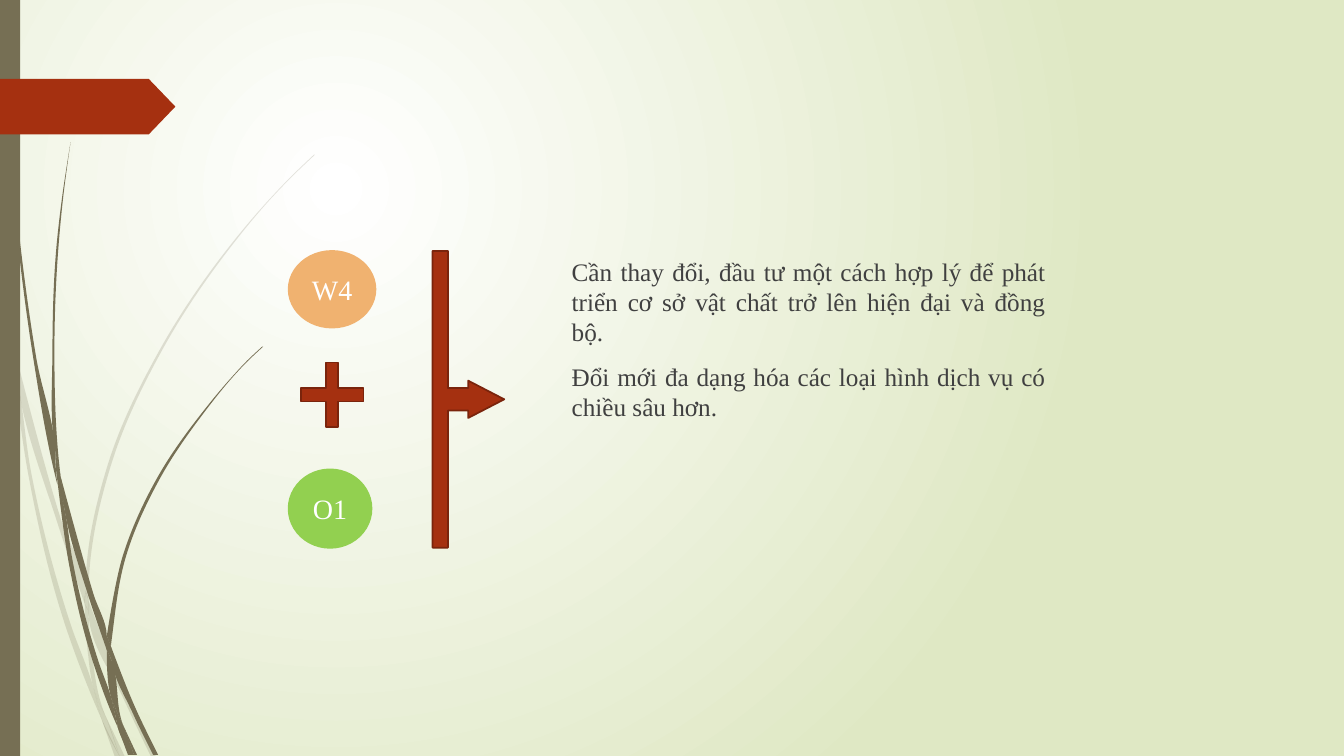
from dataclasses import dataclass
from math import hypot

from pptx import Presentation
from pptx import util as u
from pptx.dml.color import RGBColor
from pptx.enum import shapes, text
from pptx.oxml import parse_xml
from pptx.oxml.ns import nsdecls, qn

Pt = u.Pt


@dataclass(frozen=True)
class Theme:
    font: str = "Times New Roman"
    body_size: float = 18
    badge_size: float = 20
    line: float = 1.25
    paper: str = "FFFFFF"
    edge: str = "DFE8C4"
    stalk: str = "766F54"
    red: str = "A53010"
    dark_red: str = "7A240C"
    orange: str = "F0B270"
    green: str = "92D050"
    body: str = "404040"
    white: str = "FFFFFF"


T = Theme()
FADED = 20  # opacity of the rear grass, percent

# Knots around each piece of a grass blade, in 0.72 pt units
REAR_GRASS = [
    [(11, 350), (9, 322), (0, 282), (0, 299), (10, 344)],
    [(58, 522), (84, 599), (85, 586), (62, 520), (14, 345), (17, 376)],
    [(92, 607), (88, 596), (88, 610), (123, 694), (150, 751), (155, 751), (127, 692)],
    [(119, 751), (124, 751), (105, 711)],
    [(93, 683), (70, 619), (31, 469), (17, 376), (11, 350), (28, 470), (65, 621),
     (92, 693), (101, 714), (99, 707)],
    [(84, 599), (87, 646), (93, 683), (96, 692), (105, 711), (103, 706), (91, 646),
     (88, 610), (88, 608)],
    [(88, 584), (110, 462), (160, 349), (229, 245), (268, 198), (290, 175), (312, 154),
     (312, 153), (289, 175), (268, 197), (228, 244), (158, 348), (107, 461), (85, 584),
     (85, 586), (88, 596)],
    [(101, 714), (114, 751), (119, 751)],
    [(88, 608), (88, 610), (88, 596), (85, 586), (84, 599)],
    [(96, 692), (93, 683), (99, 707), (101, 714), (119, 751), (105, 711)],
]
FRONT_GRASS = [
    [(7, 110), (17, 233), (33, 355), (56, 477), (57, 481), (55, 457), (55, 453),
     (36, 355), (19, 232), (8, 109), (5, 48), (4, 0), (3, 0), (4, 48)],
    [(88, 592), (106, 645), (106, 633), (106, 631), (93, 590), (60, 472), (64, 505)],
    [(113, 649), (110, 641), (111, 656), (132, 708), (152, 749), (157, 749), (136, 706)],
    [(110, 691), (98, 657), (72, 556), (64, 505), (57, 477), (68, 557), (93, 659),
     (111, 708), (117, 722), (116, 717)],
    [(60, 472), (58, 453), (54, 349), (58, 245), (63, 193), (70, 141), (62, 193),
     (56, 245), (52, 349), (55, 449)],
    [(133, 749), (136, 749), (122, 719)],
    [(57, 477), (64, 505), (60, 472), (55, 449), (55, 453)],
    [(111, 633), (125, 552), (158, 476), (205, 406), (231, 374), (245, 359), (261, 344),
     (260, 344), (245, 358), (231, 373), (204, 405), (156, 474), (122, 551), (106, 631),
     (110, 641)],
    [(117, 722), (127, 749), (131, 749)],
    [(106, 645), (110, 691), (116, 706), (122, 719), (121, 716), (111, 656), (109, 651)],
    [(106, 645), (109, 651), (111, 656), (110, 641), (106, 631), (106, 633)],
    [(116, 706), (110, 691), (116, 717), (117, 722), (130, 749), (133, 749), (122, 719)],
]


def rgb(color):
    return RGBColor.from_string(color)


def paint(sp, fill, line=None, opacity=100):
    sp.shadow.inherit = False
    sp.fill.solid()
    sp.fill.fore_color.rgb = rgb(fill)
    if opacity < 100:
        clr = sp.fill._xPr.find(f"{qn('a:solidFill')}/{qn('a:srgbClr')}")
        clr.append(parse_xml(f'<a:alpha {nsdecls("a")} val="{opacity * 1000}"/>'))
    if line:
        sp.line.color.rgb = rgb(line)
        sp.line.width = Pt(T.line)
    else:
        sp.line.fill.background()


def write(tf, *paragraphs, size, color, align, anchor, space=0):
    tf.word_wrap = True
    tf.vertical_anchor = anchor
    for i, words in enumerate(paragraphs):
        p = tf.add_paragraph() if i else tf.paragraphs[0]
        p.alignment = align
        p.space_before = Pt(space if i else 0)
        r = p.add_run()
        r.text = words
        r.font.name = T.font
        r.font.size = Pt(size)
        r.font.color.rgb = rgb(color)


def shape(s, kind, box, fill, line=None, adjust=()):
    sp = s.shapes.add_shape(kind, *map(Pt, box))
    paint(sp, fill, line)
    for i, value in enumerate(adjust):
        sp.adjustments[i] = value
    return sp


def badge(s, label, box, fill):
    sp = shape(s, shapes.MSO_SHAPE.OVAL, box, fill, fill)
    write(sp.text_frame, label, size=T.badge_size, color=T.white,
          align=text.PP_ALIGN.CENTER, anchor=text.MSO_ANCHOR.MIDDLE)


def tangent(before, knot, after):
    """Unit direction through a knot, or none at a sharp corner."""
    ax, ay = knot[0] - before[0], knot[1] - before[1]
    bx, by = after[0] - knot[0], after[1] - knot[1]
    a, b = hypot(ax, ay), hypot(bx, by)
    if ax * bx + ay * by < 0.85 * a * b:
        return 0, 0
    # The shorter side counts more, as on a circle through the three knots
    dx, dy = ax * b / a + bx * a / b, ay * b / a + by * a / b
    return dx / hypot(dx, dy), dy / hypot(dx, dy)


def curve(sp):
    """Turn the straight sides of a freeform into smooth cubic ones."""
    outline = sp._element.find(f".//{qn('a:path')}")
    knots = [(int(pt.get("x")), int(pt.get("y"))) for pt in outline.iter(qn("a:pt"))]
    if knots[0] == knots[-1]:
        knots.pop()
    n = len(knots)
    ways = [tangent(knots[i - 1], knots[i], knots[(i + 1) % n]) for i in range(n)]
    for side in outline.findall(qn("a:lnTo")):
        outline.remove(side)
    for i in range(n):
        j = (i + 1) % n
        (x, y), (x2, y2) = knots[i], knots[j]
        reach = hypot(x2 - x, y2 - y) / 3
        handles = [(x + ways[i][0] * reach, y + ways[i][1] * reach),
                   (x2 - ways[j][0] * reach, y2 - ways[j][1] * reach), (x2, y2)]
        pts = "".join(f'<a:pt x="{round(px)}" y="{round(py)}"/>' for px, py in handles)
        outline.find(qn("a:close")).addprevious(
            parse_xml(f'<a:cubicBezTo {nsdecls("a")}>{pts}</a:cubicBezTo>'))


def blade(s, knots, opacity=100):
    points = [(Pt(x * 0.72), Pt(y * 0.72)) for x, y in knots]
    builder = s.shapes.build_freeform(*points[0])
    builder.add_line_segments(points[1:], close=True)
    sp = builder.convert_to_shape()
    curve(sp)
    paint(sp, T.stalk, opacity=opacity)


def background(s):
    fill = s.background.fill
    fill.gradient()
    for stop, color in zip(fill.gradient_stops, (T.paper, T.edge)):
        stop.color.rgb = rgb(color)
    grad = s._element.find(f".//{qn('a:gradFill')}")
    grad.remove(grad.find(qn("a:lin")))
    grad.append(parse_xml(
        f'<a:path {nsdecls("a")} path="circle">'
        '<a:fillToRect l="50000" t="50000" r="100000" b="100000"/></a:path>'))


def main():
    prs = Presentation()
    prs.slide_width, prs.slide_height = Pt(960), Pt(540)
    s = prs.slides.add_slide(prs.slide_layouts[6])
    kinds = shapes.MSO_SHAPE

    # Backdrop: gradient, grass, side bar and tag
    background(s)
    for grass, opacity in ((REAR_GRASS, FADED), (FRONT_GRASS, 100)):
        for knots in grass:
            blade(s, knots, opacity)
    shape(s, kinds.RECTANGLE, (0, 0, 14.4, 540), T.stalk)
    shape(s, kinds.PENTAGON, (0, 56.3, 125.3, 39.8), T.red, adjust=[0.48])

    # Strategy text
    tb = s.shapes.add_textbox(*map(Pt, (401.3, 179.5, 352.8, 249.8)))
    write(tb.text_frame,
          "Cần thay đổi, đầu tư một cách hợp lý để phát triển cơ sở vật chất "
          "trở lên hiện đại và đồng bộ. ",
          "Đổi mới đa dạng hóa các loại hình dịch vụ có chiều sâu hơn.",
          size=T.body_size, color=T.body, align=text.PP_ALIGN.JUSTIFY,
          anchor=text.MSO_ANCHOR.TOP, space=10)

    # Weakness plus opportunity, leading to the strategy
    shape(s, kinds.CROSS, (215, 258.9, 44.6, 46), T.red, T.dark_red, [0.406])
    badge(s, "W4", (206.2, 179.3, 62, 54.7), T.orange)
    badge(s, "O1", (206.2, 335.3, 59.2, 56), T.green)
    shape(s, kinds.RIGHT_ARROW_CALLOUT, (309, 179.3, 51.2, 211.9), T.red, T.dark_red,
          [0.312, 0.26, 0.503, 0.215])

    prs.save("out.pptx")


if __name__ == "__main__":
    main()
